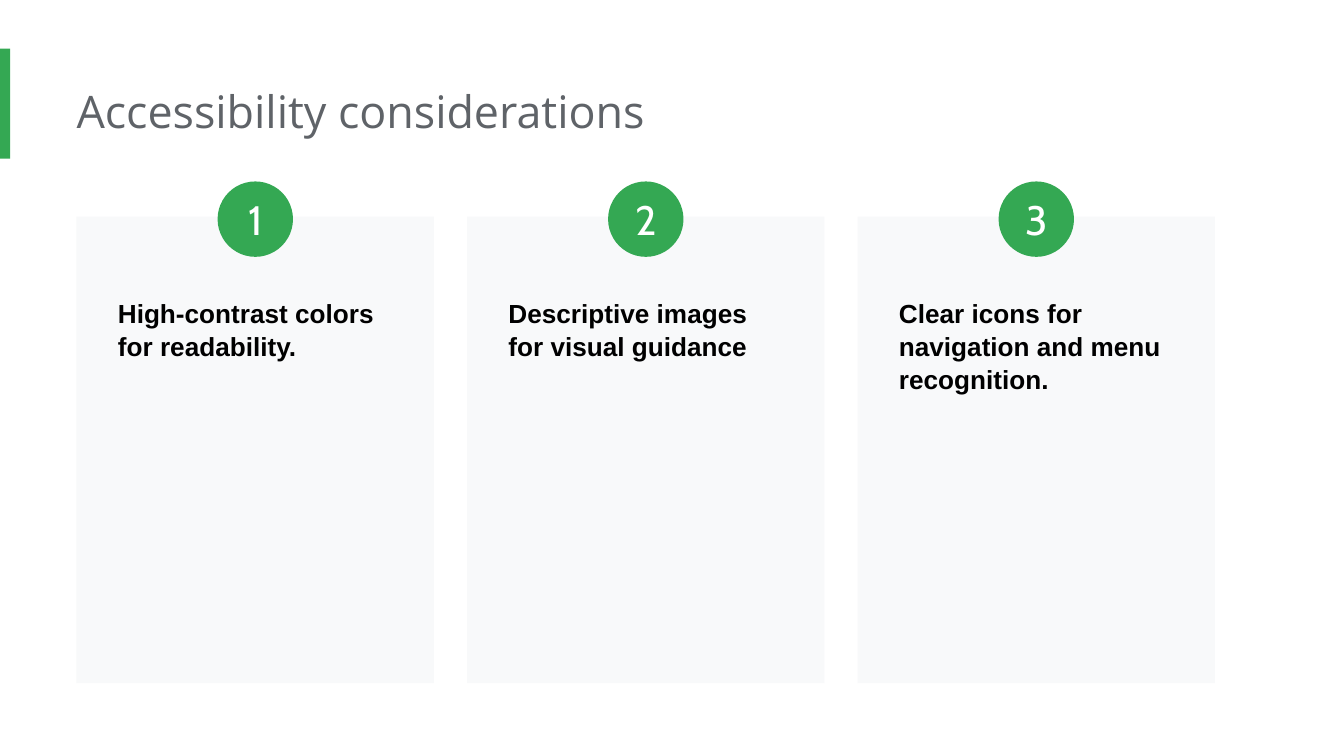
"""Build the accessibility considerations slide with three numbered cards."""
from dataclasses import dataclass

from pptx import Presentation
from pptx.dml.color import RGBColor
from pptx.enum.shapes import MSO_SHAPE
from pptx.enum.text import MSO_ANCHOR, MSO_AUTO_SIZE, PP_ALIGN
from pptx.shapes.autoshape import Shape
from pptx.slide import Slide
from pptx.text.text import TextFrame
from pptx.util import Pt

RECTANGLE, OVAL = MSO_SHAPE.RECTANGLE, MSO_SHAPE.OVAL
TOP, MIDDLE = MSO_ANCHOR.TOP, MSO_ANCHOR.MIDDLE
LEFT, CENTER = PP_ALIGN.LEFT, PP_ALIGN.CENTER
NO_AUTOFIT = MSO_AUTO_SIZE.NONE

GREEN = RGBColor(0x34, 0xA8, 0x53)
GRAY = RGBColor(0x5F, 0x63, 0x68)
PALE = RGBColor(0xF8, 0xF9, 0xFA)
BLACK = RGBColor(0, 0, 0)
WHITE = RGBColor(0xFF, 0xFF, 0xFF)

TITLE_ONLY = 5
MARGIN = 41
CARD_TOP, CARD_WIDTH, CARD_HEIGHT, CARD_PITCH = 116, 191.5, 250, 209.2
TEXT_TOP, TEXT_WIDTH, LINE_HEIGHT = 151.2, 161.3, 17
BADGE_TOP, BADGE_SIZE = 97.2, 40.4
INSET = 7.2


@dataclass(frozen=True)
class Box:
    left: float
    top: float
    width: float
    height: float

    def lengths(self) -> tuple[Pt, Pt, Pt, Pt]:
        return Pt(self.left), Pt(self.top), Pt(self.width), Pt(self.height)


@dataclass(frozen=True)
class TextStyle:
    font: str
    size: float
    color: RGBColor
    bold: bool = False
    alignment: PP_ALIGN = LEFT
    anchor: MSO_ANCHOR = TOP
    spacing: float = 1.0


@dataclass(frozen=True)
class Card:
    text: str
    lines: int


TITLE_STYLE = TextStyle("Open Sans", 24, GRAY, spacing=0.9)
CARD_STYLE = TextStyle("Arial", 14, BLACK, bold=True, spacing=1.05)
BADGE_STYLE = TextStyle("Cabin", 22, WHITE, alignment=CENTER, anchor=MIDDLE)

CARDS = (
    Card("High-contrast colors for readability.", 2),
    Card("Descriptive images for visual guidance", 2),
    Card("Clear icons for navigation and menu recognition.", 3),
)


def write_text(frame: TextFrame, text: str, style: TextStyle,
               left_inset: float, inset: float) -> None:
    frame.word_wrap = True
    frame.auto_size = NO_AUTOFIT
    frame.vertical_anchor = style.anchor
    frame.margin_left = Pt(left_inset)
    frame.margin_top = frame.margin_right = frame.margin_bottom = Pt(inset)
    paragraph = frame.paragraphs[0]
    paragraph.alignment = style.alignment
    paragraph.line_spacing = style.spacing
    run = paragraph.add_run()
    run.text = text
    run.font.name = style.font
    run.font.size = Pt(style.size)
    run.font.bold = style.bold
    run.font.color.rgb = style.color


def add_filled_shape(slide: Slide, kind: MSO_SHAPE, box: Box, color: RGBColor) -> Shape:
    shape = slide.shapes.add_shape(kind, *box.lengths())
    shape.shadow.inherit = False
    shape.fill.solid()
    shape.fill.fore_color.rgb = color
    shape.line.fill.background()
    return shape


def add_title(slide: Slide, text: str) -> None:
    title = slide.shapes.title
    title.left, title.top, title.width, title.height = Box(MARGIN, 41, 551.5, 44).lengths()
    write_text(title.text_frame, text, TITLE_STYLE, 0, INSET)


def add_card(slide: Slide, card: Card, left: float) -> None:
    add_filled_shape(slide, RECTANGLE, Box(left, CARD_TOP, CARD_WIDTH, CARD_HEIGHT), PALE)
    text_left = left + (CARD_WIDTH - TEXT_WIDTH) / 2
    text_height = card.lines * LINE_HEIGHT + 2 * INSET
    text_box = slide.shapes.add_textbox(
        *Box(text_left, TEXT_TOP, TEXT_WIDTH, text_height).lengths())
    write_text(text_box.text_frame, card.text, CARD_STYLE, INSET, INSET)


def add_badge(slide: Slide, number: int, card_left: float) -> None:
    left = card_left + (CARD_WIDTH - BADGE_SIZE) / 2
    badge = add_filled_shape(slide, OVAL, Box(left, BADGE_TOP, BADGE_SIZE, BADGE_SIZE), GREEN)
    write_text(badge.text_frame, str(number), BADGE_STYLE, 0, 0)


def main() -> None:
    presentation = Presentation()
    presentation.slide_width, presentation.slide_height = Pt(720), Pt(405)
    slide = presentation.slides.add_slide(presentation.slide_layouts[TITLE_ONLY])
    add_title(slide, "Accessibility considerations")
    add_filled_shape(slide, RECTANGLE, Box(0, 26, 5.5, 59), GREEN)
    for index, card in enumerate(CARDS):
        left = MARGIN + index * CARD_PITCH
        add_card(slide, card, left)
        add_badge(slide, index + 1, left)
    presentation.save("out.pptx")


if __name__ == "__main__":
    main()
